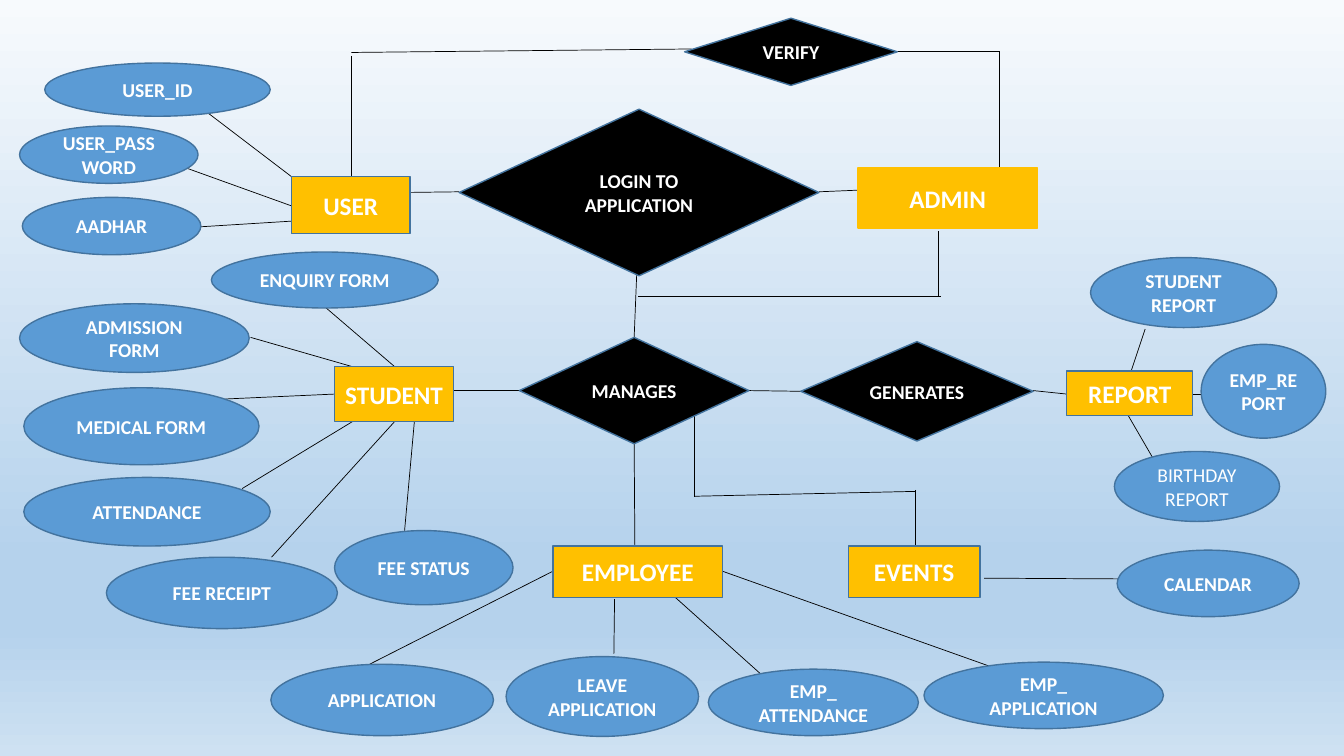
from dataclasses import dataclass
from itertools import pairwise

from lxml.etree import SubElement
from pptx import Presentation
from pptx.dml.color import RGBColor
from pptx.enum.shapes import MSO_CONNECTOR, MSO_SHAPE
from pptx.enum.text import MSO_ANCHOR, PP_ALIGN
from pptx.oxml.ns import qn
from pptx.util import Pt


@dataclass(frozen=True)
class Theme:
    font: str = "Calibri"
    entity_size: int = 18
    label_size: int = 14
    text: str = "FFFFFF"
    entity: str = "FFC000"
    relation: str = "000000"
    attribute: str = "5B9BD5"
    outline: str = "43739E"
    link: str = "000000"
    sky: tuple = ((0, "F7FAFD"), (74, "B5D2EC"), (83, "B5D2EC"), (100, "CEE1F2"))


THEME = Theme()

ENTITIES = [
    ("USER", 208, 126, 85, 41),
    ("ADMIN", 613, 120, 128, 43),
    ("STUDENT", 239, 262, 85, 39),
    ("REPORT", 762, 265, 90, 32),
    ("EVENTS", 606, 390, 94, 37),
    ("EMPLOYEE", 395, 390, 121, 37),
]

RELATIONS = [
    ("LOGIN TO APPLICATION", 328, 78, 257, 119),
    ("VERIFY", 489, 13, 152, 48),
    ("MANAGES", 371, 241, 164, 76),
    ("GENERATES", 572, 244, 166, 71),
]

ATTRIBUTES = [
    ("USER_ID", 32, 45, 161, 38),
    ("USER_PASSWORD", 14, 90, 127.5, 41),
    ("AADHAR", 16, 141, 127.5, 41),
    ("ENQUIRY FORM", 151, 180, 162, 40),
    ("ADMISSION FORM", 14, 217, 164, 49),
    ("MEDICAL FORM", 17, 277, 168, 55),
    ("ATTENDANCE", 17, 341, 176, 49),
    ("FEE RECEIPT", 76, 398, 165, 51),
    ("FEE STATUS", 239, 379, 127.5, 53),
    ("STUDENT\nREPORT", 779, 184, 133, 50),
    ("EMP_REPORT", 858, 246, 89, 67),
    ("CALENDAR", 798, 393, 130, 47.5),
    ("APPLICATION", 193.5, 474.5, 159, 51),
    ("LEAVE APPLICATION", 361.5, 469, 137.5, 57),
    ("EMP_ ATTENDANCE", 506, 478, 150, 47.5),
    ("EMP_\nAPPLICATION", 660, 473, 171, 47.5),
]

LIGHT_ATTRIBUTES = [("BIRTHDAY\nREPORT", 796, 322.5, 118, 50)]

LINKS = [
    [(328, 137), (289, 137.5)],
    [(585, 137), (633, 135)],
    [(208, 126), (145, 78)],
    [(208, 147), (133, 120)],
    [(208, 158), (143, 162)],
    [(714, 120), (714, 37), (641, 37)],
    [(494, 35), (251, 37.5)],
    [(251, 40), (251, 126)],
    [(371, 279), (312, 279)],
    [(282, 262), (233, 220)],
    [(289, 379), (296, 301)],
    [(252, 262), (179, 241)],
    [(239, 281.5), (161, 285)],
    [(252, 301), (173, 349)],
    [(282, 301), (194, 398)],
    [(670, 212), (670, 165)],
    [(738, 279), (762, 281.5)],
    [(808, 265), (818, 235)],
    [(852, 281.5), (879, 281.5)],
    [(806, 297), (824, 328)],
    [(496, 297), (496, 355)],
    [(703, 413), (799, 413.5)],
    [(453, 317), (453.5, 391)],
    [(395, 408), (261, 476)],
    [(439, 428), (438.5, 467)],
    [(481, 425.5), (544, 482)],
    [(516, 408), (710, 477)],
    [(535, 279), (572, 279.5)],
    [(455, 191), (453, 241)],
    [(456, 212), (672, 212)],
    [(496, 354.5), (654, 351)],
    [(654, 350), (654, 390)],
]


def paint_background(page):
    fill = page.background.fill
    fill.gradient()
    fill.gradient_angle = 270
    stops = page.element.find(".//" + qn("a:gsLst"))
    for stop in list(stops):
        stops.remove(stop)
    for percent, color in THEME.sky:
        stop = SubElement(stops, qn("a:gs"), pos=str(percent * 1000))
        SubElement(stop, qn("a:srgbClr"), val=color)


def add_link(page, points):
    for start, end in pairwise(points):
        ends = [Pt(length) for length in (*start, *end)]
        link = page.shapes.add_connector(MSO_CONNECTOR.STRAIGHT, *ends)
        link.line.color.rgb = RGBColor.from_string(THEME.link)
        link.line.width = Pt(0.5)
        SubElement(link.element.spPr, qn("a:effectLst"))


def add_node(page, kind, node, color, size, outline=THEME.outline, bold=True):
    label, *bounds = node
    box = page.shapes.add_shape(kind, *[Pt(length) for length in bounds])
    box.shadow.inherit = False
    box.fill.solid()
    box.fill.fore_color.rgb = RGBColor.from_string(color)
    box.line.color.rgb = RGBColor.from_string(outline)
    box.line.width = Pt(1)
    frame = box.text_frame
    frame.word_wrap = True
    frame.vertical_anchor = MSO_ANCHOR.MIDDLE
    frame.text = label
    for para in frame.paragraphs:
        para.alignment = PP_ALIGN.CENTER
        para.font.name = THEME.font
        para.font.size = Pt(size)
        para.font.bold = bold
        para.font.color.rgb = RGBColor.from_string(THEME.text)


def add_entity(page, node):
    outline = THEME.entity if node[0] == "ADMIN" else THEME.outline
    add_node(page, MSO_SHAPE.RECTANGLE, node, THEME.entity, THEME.entity_size, outline)


def add_relation(page, node):
    add_node(page, MSO_SHAPE.DIAMOND, node, THEME.relation, THEME.label_size)


def add_attribute(page, node, bold=True):
    add_node(page, MSO_SHAPE.OVAL, node, THEME.attribute, THEME.label_size, bold=bold)


def main():
    deck = Presentation()
    deck.slide_width, deck.slide_height = Pt(960), Pt(540)
    page = deck.slides.add_slide(deck.slide_layouts[6])
    paint_background(page)
    for points in LINKS:
        add_link(page, points)
    for node in RELATIONS:
        add_relation(page, node)
    for node in ENTITIES:
        add_entity(page, node)
    for node in ATTRIBUTES:
        add_attribute(page, node)
    for node in LIGHT_ATTRIBUTES:
        add_attribute(page, node, bold=False)
    deck.save("out.pptx")


if __name__ == "__main__":
    main()
